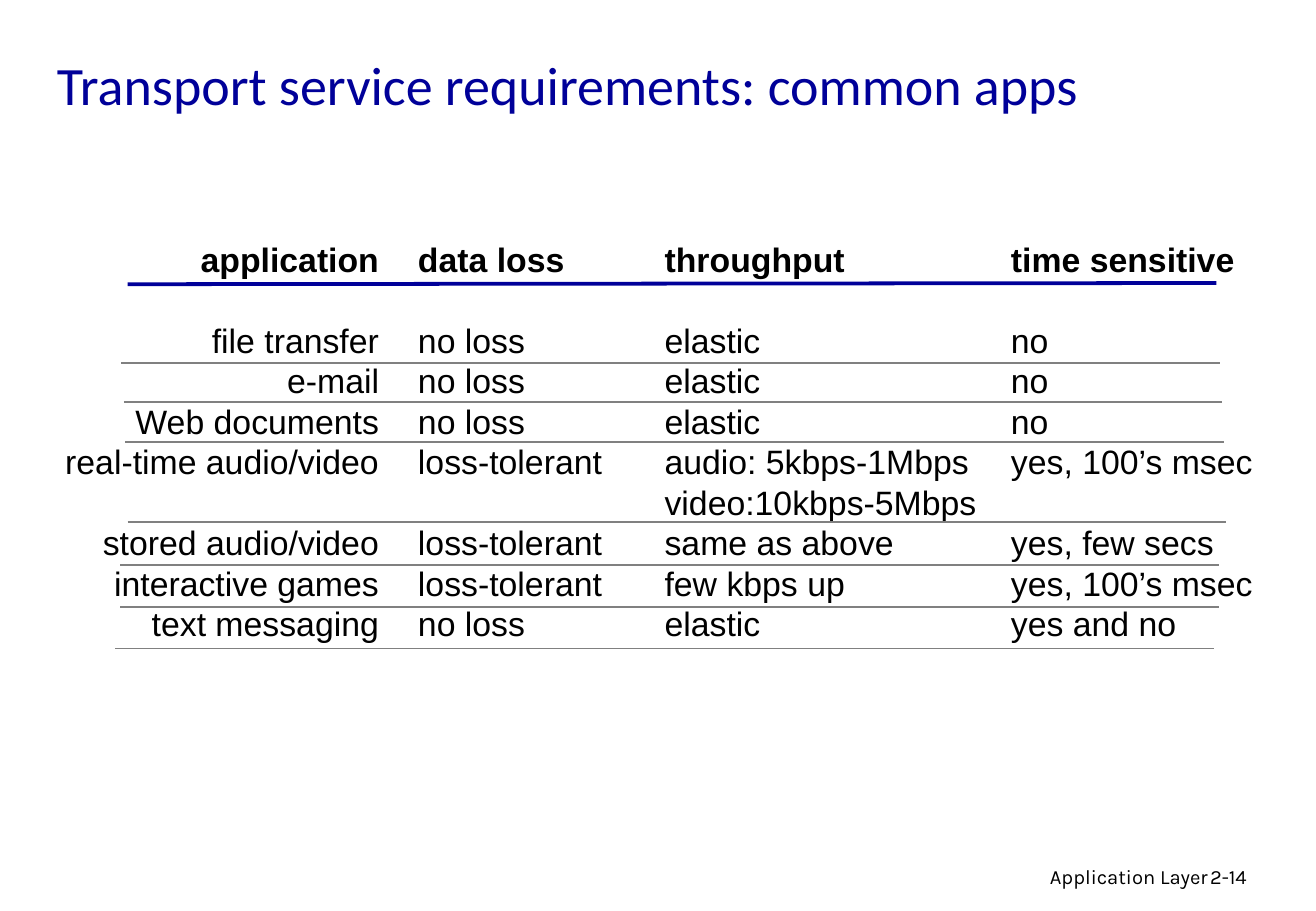
import dataclasses

import pptx
import pptx.dml.color
import pptx.enum.shapes
import pptx.enum.text
import pptx.oxml.ns
import pptx.util
from lxml import etree

Align = pptx.enum.text.PP_ALIGN
Anchor = pptx.enum.text.MSO_ANCHOR

WIDTH, HEIGHT = 10.83, 7.5
COLORS = {"navy": "000099", "text": "000000", "rule": "808080"}
LINE_PT = 24
ROW = LINE_PT / 72 / HEIGHT * 100


@dataclasses.dataclass(frozen=True)
class Label:
    text: str
    left: float
    top: float
    width: float
    height: float
    size: int
    font: str
    color: str = "text"
    align: Align = Align.LEFT
    anchor: Anchor = Anchor.TOP


@dataclasses.dataclass(frozen=True)
class Column:
    width: float
    align: Align = Align.LEFT
    right_margin: float = 0


@dataclasses.dataclass(frozen=True)
class Row:
    cells: tuple[str, str, str, str]
    lines: int = 1
    bold: bool = False


@dataclasses.dataclass(frozen=True)
class Rule:
    left: float
    top: float
    width: float = 83.47
    rise: float = 0
    color: str = "rule"
    weight: float = 1


LABELS = (
    Label("Transport service requirements: common apps", 3.42, 3.33, 89.75, 11.87,
          32, "Calibri", "navy", anchor=Anchor.MIDDLE),
    Label("Application Layer", 61.03, 94.27, 31.67, 4.13, 12, "Karla", align=Align.RIGHT),
    Label("2-14", 91.04, 94.27, 7.39, 4, 12, "Karla"),
)

TABLE_LEFT, TABLE_TOP = 3.79, 26.2
COLUMNS = (
    Column(27.05, Align.RIGHT, 2.03),
    Column(18.74),
    Column(26.32),
    Column(22.53),
)
ROWS = (
    Row(("application", "data loss", "throughput", "time sensitive"), 2, True),
    Row(("file transfer", "no loss", "elastic", "no")),
    Row(("e-mail", "no loss", "elastic", "no")),
    Row(("Web documents", "no loss", "elastic", "no")),
    Row(("real-time audio/video", "loss-tolerant",
         "audio: 5kbps-1Mbps\nvideo:10kbps-5Mbps", "yes, 100’s msec"), 2),
    Row(("stored audio/video", "loss-tolerant", "same as above", "yes, few secs")),
    Row(("interactive games", "loss-tolerant", "few kbps up", "yes, 100’s msec")),
    Row(("text messaging", "no loss", "elastic", "yes and no")),
)

RULES = (
    Rule(9.7, 31.2, 82.73, 0.13, "navy", 2.25),
    Rule(9.23, 39.87),
    Rule(9.42, 44.13),
    Rule(9.51, 48.53),
    Rule(9.7, 57.33),
    Rule(9.14, 62),
    Rule(9.14, 66.67),
    Rule(8.77, 71.2),
)


def x(share: float) -> int:
    return pptx.util.Inches(WIDTH * share / 100)


def y(share: float) -> int:
    return pptx.util.Inches(HEIGHT * share / 100)


def rgb(name: str) -> pptx.dml.color.RGBColor:
    return pptx.dml.color.RGBColor.from_string(COLORS[name])


def style(p, size: int, font: str, color: str, align: Align, bold: bool = False) -> None:
    p.alignment = align
    p.font.size = pptx.util.Pt(size)
    p.font.name = font
    p.font.bold = bold
    p.font.color.rgb = rgb(color)


def draw_label(s, label: Label) -> None:
    sp = s.shapes.add_textbox(x(label.left), y(label.top), x(label.width), y(label.height))
    tf = sp.text_frame
    tf.word_wrap = True
    tf.vertical_anchor = label.anchor
    tf.text = label.text
    style(tf.paragraphs[0], label.size, label.font, label.color, label.align)


def draw_table(s) -> None:
    width = sum(column.width for column in COLUMNS)
    height = ROW * sum(row.lines for row in ROWS)
    table = s.shapes.add_table(len(ROWS), len(COLUMNS), x(TABLE_LEFT), y(TABLE_TOP),
                               x(width), y(height)).table
    table.first_row = table.horz_banding = False
    for i, column in enumerate(COLUMNS):
        table.columns[i].width = x(column.width)
    for i, row in enumerate(ROWS):
        table.rows[i].height = y(ROW * row.lines)
        for j, (column, text) in enumerate(zip(COLUMNS, row.cells)):
            cell = table.cell(i, j)
            cell.fill.background()
            cell.margin_top = cell.margin_bottom = 0
            cell.margin_right = x(column.right_margin)
            cell.text = text
            for p in cell.text_frame.paragraphs:
                style(p, 20, "Arial", "text", column.align, row.bold)
                p.line_spacing = pptx.util.Pt(LINE_PT)


def draw_rule(s, rule: Rule) -> None:
    sp = s.shapes.add_connector(
        pptx.enum.shapes.MSO_CONNECTOR.STRAIGHT, x(rule.left), y(rule.top),
        x(rule.left + rule.width), y(rule.top - rule.rise))
    sp.line.color.rgb = rgb(rule.color)
    sp.line.width = pptx.util.Pt(rule.weight)
    etree.SubElement(sp._element.spPr, pptx.oxml.ns.qn("a:effectLst"))


def main() -> None:
    prs = pptx.Presentation()
    prs.slide_width, prs.slide_height = x(100), y(100)
    s = prs.slides.add_slide(prs.slide_layouts[6])
    draw_table(s)
    for rule in RULES:
        draw_rule(s, rule)
    for label in LABELS:
        draw_label(s, label)
    prs.save("out.pptx")


if __name__ == "__main__":
    main()
